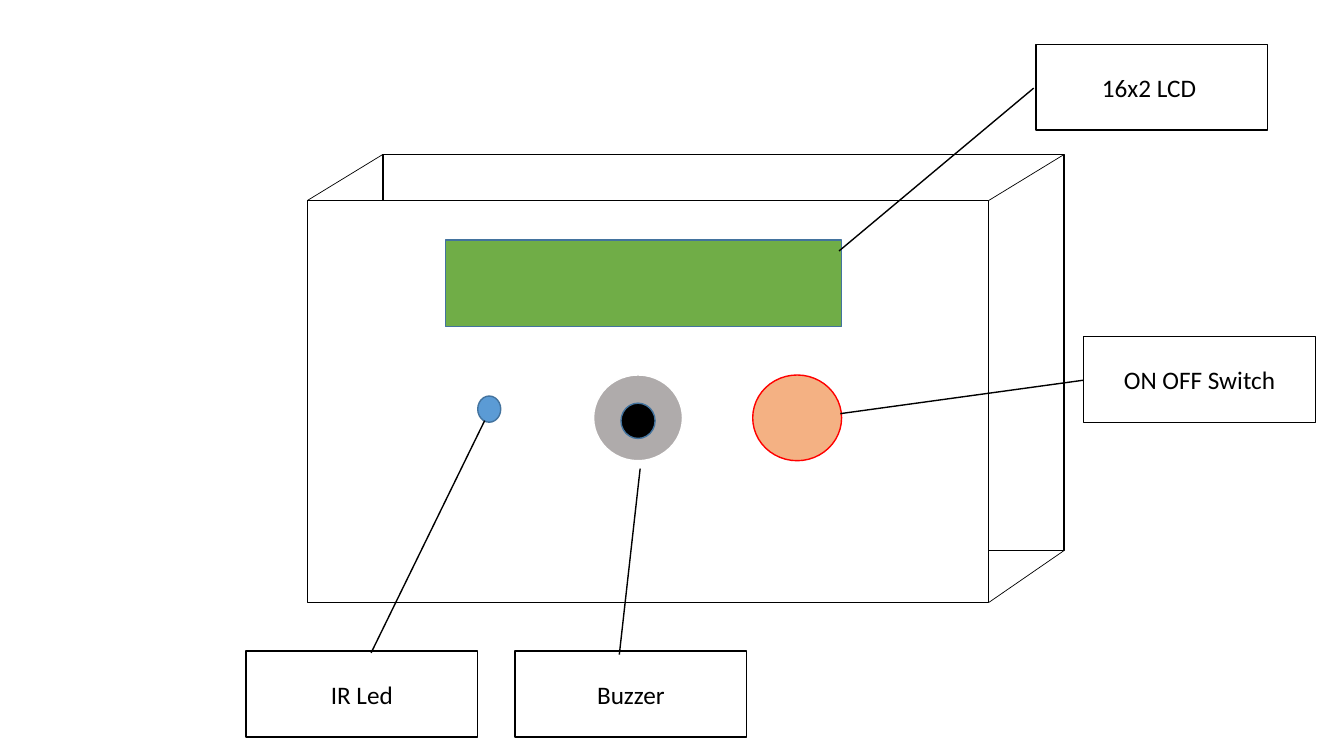
from dataclasses import dataclass

from lxml import etree
from pptx import Presentation
from pptx.dml.color import RGBColor
from pptx.enum.shapes import MSO_CONNECTOR, MSO_SHAPE
from pptx.enum.text import MSO_ANCHOR, PP_ALIGN
from pptx.oxml.ns import qn
from pptx.util import Cm, Pt

RECT, OVAL, CALLOUT = MSO_SHAPE.RECTANGLE, MSO_SHAPE.OVAL, MSO_SHAPE.LINE_CALLOUT_1
STRAIGHT = MSO_CONNECTOR.STRAIGHT
MIDDLE, CENTER = MSO_ANCHOR.MIDDLE, PP_ALIGN.CENTER


@dataclass(frozen=True)
class Theme:
    font: str = "Calibri"
    label_size: float = 18
    outline: float = 1
    edge: float = 0.5
    black: str = "000000"
    white: str = "FFFFFF"
    green: str = "70AD47"
    orange: str = "F4B183"
    red: str = "FF0000"
    blue: str = "5B9BD5"
    dark_blue: str = "43739E"
    gray: str = "AFABAB"


class Diagram:
    """Draws on one slide in one theme; lengths are centimetres."""

    def __init__(self, slide, theme):
        self.shapes, self.theme = slide.shapes, theme

    def set_line(self, line, color, width):
        line.color.rgb = RGBColor.from_string(color)
        line.width = Pt(width)

    def shape(self, kind, box, fill=None, line=None):
        s = self.shapes.add_shape(kind, *map(Cm, box))
        s.shadow.inherit = False
        if fill:
            s.fill.solid()
            s.fill.fore_color.rgb = RGBColor.from_string(fill)
        else:
            s.fill.background()
        self.set_line(s.line, line or self.theme.black, self.theme.outline)
        return s

    def edge(self, start, end):
        c = self.shapes.add_connector(STRAIGHT, *map(Cm, (*start, *end)))
        etree.SubElement(c._element.spPr, qn("a:effectLst"))
        self.set_line(c.line, self.theme.black, self.theme.edge)

    def callout(self, text, left, top, pointer):
        """Add a label; pointer holds start y, x and end y, x as shares of its box."""
        s = self.shape(CALLOUT, (left, top, 5.84, 2.16))
        for i, share in enumerate(pointer):
            s.adjustments[i] = share
        tf = s.text_frame
        tf.vertical_anchor = MIDDLE
        p = tf.paragraphs[0]
        p.text, p.alignment = text, CENTER
        p.font.name, p.font.size = self.theme.font, Pt(self.theme.label_size)
        p.font.color.rgb = RGBColor.from_string(self.theme.black)


def corner(box, right, bottom):
    left, top, width, height = box
    return left + right * width, top + bottom * height


def main():
    prs = Presentation()
    prs.slide_width, prs.slide_height = Cm(33.87), Cm(19.05)
    t = Theme()
    d = Diagram(prs.slides.add_slide(prs.slide_layouts[6]), t)

    back, front = (9.65, 3.89, 17.17, 9.98), (7.75, 5.05, 17.17, 10.13)
    d.shape(RECT, back)
    d.shape(RECT, front, t.white)

    parts = [
        (RECT, (11.23, 6.05, 9.98, 2.18), t.green, t.dark_blue),  # LCD
        (OVAL, (18.97, 9.45, 2.24, 2.16), t.orange, t.red),  # switch
        (OVAL, (12.04, 9.98, 0.58, 0.66), t.blue, t.dark_blue),  # IR LED
        (OVAL, (14.96, 9.45, 2.24, 2.16), t.gray, t.white),  # buzzer
        (OVAL, (15.65, 10.16, 0.86, 0.89), t.black, t.dark_blue),  # buzzer hole
    ]
    for part in parts:
        d.shape(*part)

    for right, bottom in ((0, 0), (1, 0), (1, 1)):
        d.edge(corner(front, right, bottom), corner(back, right, bottom))

    labels = [
        ("16x2 LCD ", 26.11, 1.12, (0.51, -0.01, 2.41, -0.85)),
        ("ON OFF Switch", 27.31, 8.48, (0.51, 0, 0.9, -1.05)),
        ("Buzzer", 12.98, 16.41, (0.04, 0.45, -2.13, 0.54)),
        ("IR Led", 6.2, 16.41, (0.02, 0.54, -2.69, 1.03)),
    ]
    for label in labels:
        d.callout(*label)

    prs.save("out.pptx")


if __name__ == "__main__":
    main()
